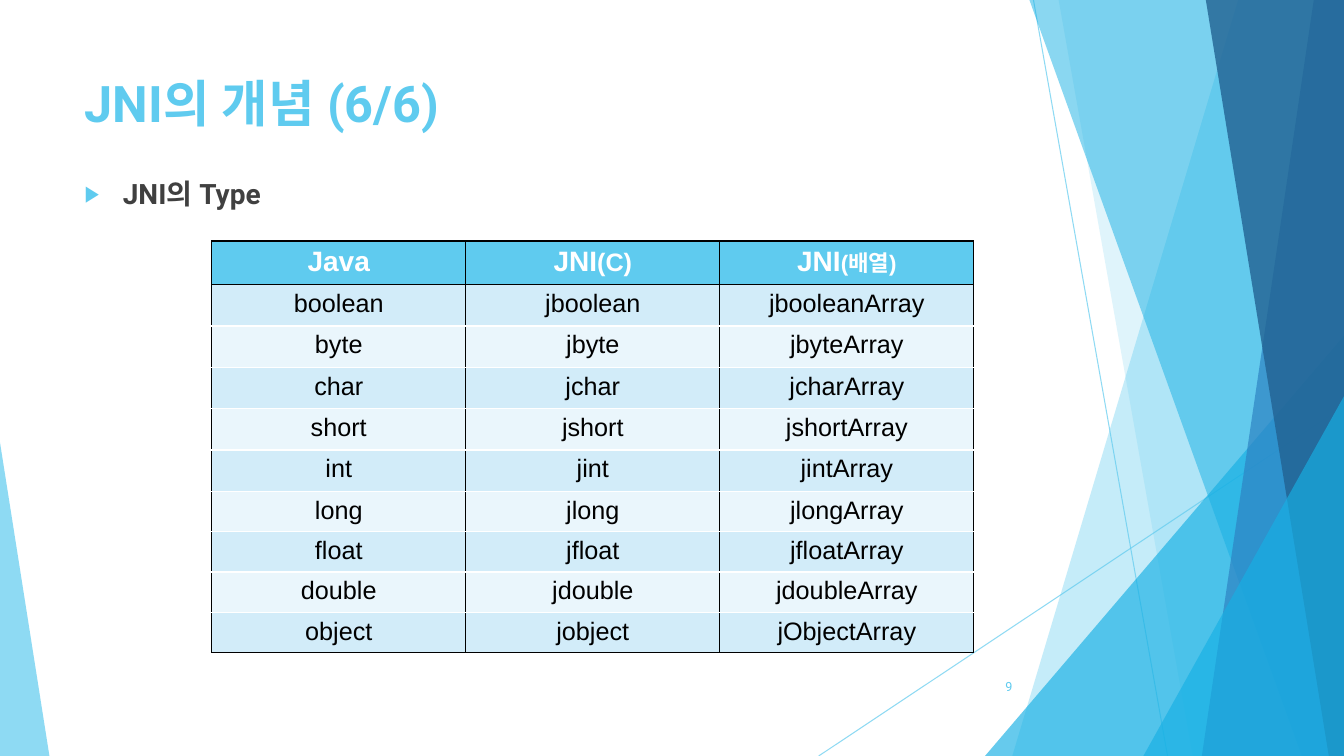
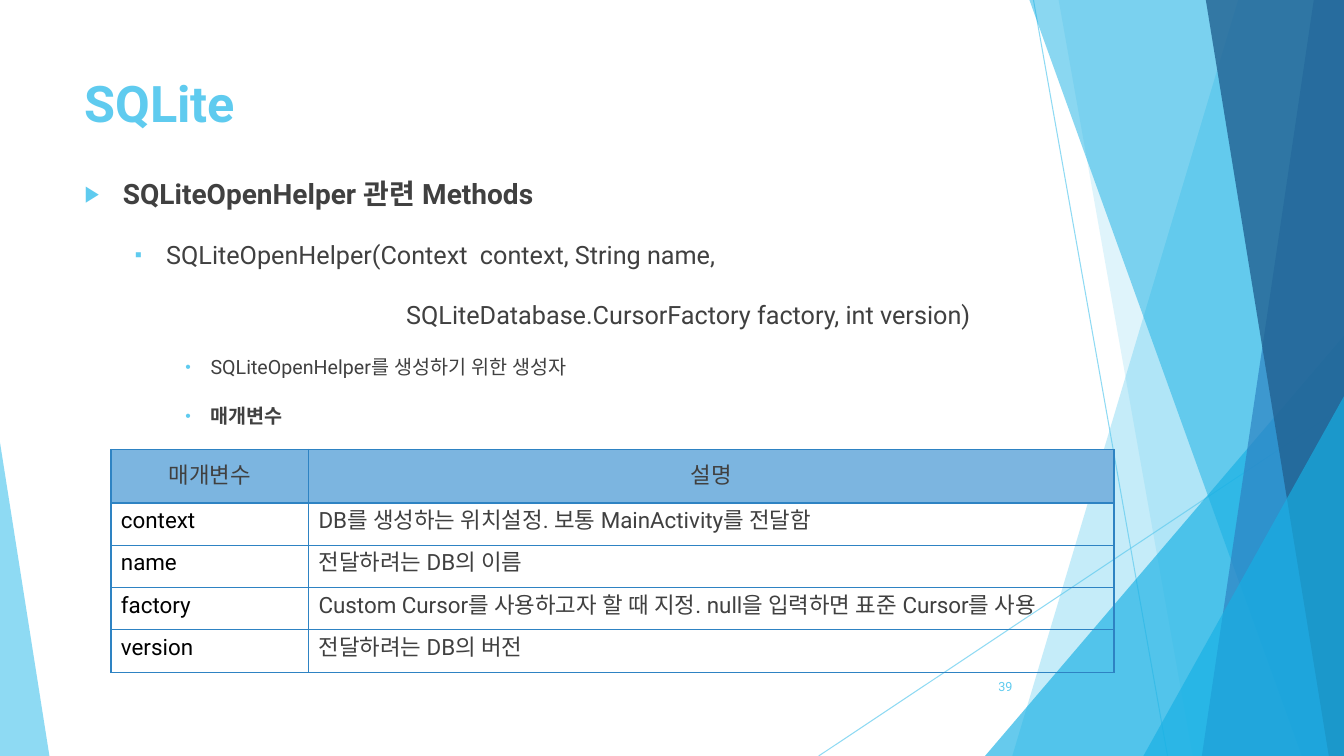
from lxml import etree
from pptx import Presentation
from pptx.dml.color import RGBColor
from pptx.enum import shapes, text
from pptx.oxml.ns import qn
from pptx.util import Inches, Pt

COLORS = {
    "sky": "5FCBEF", "cyan": "17B0E4", "blue": "2E83C3", "navy": "226292",
    "header": "7CB5E0", "band": "D2ECF9", "pale": "EAF6FC",
    "body": "404040", "black": "000000", "white": "FFFFFF",
}
FONT = "Roboto"
TABLE_FONT = "Arial"
WIDTH, HEIGHT = 13.33, 7.5
CENTER, RIGHT = text.PP_ALIGN.CENTER, text.PP_ALIGN.RIGHT
MIDDLE = text.MSO_ANCHOR.MIDDLE

# Background facets: top left, top right, bottom right, bottom left, colour, opacity
BACK_FACETS = [
    (12.28, WIDTH, WIDTH, 10.04, "sky", 36),
    (10.5, WIDTH, WIDTH, 11.83, "sky", 20),
]
FRONT_FACETS = [
    (10.21, WIDTH, WIDTH, 12.91, "cyan", 50),
    (13.03, WIDTH, WIDTH, 11.92, "blue", 70),
    (11.96, WIDTH, WIDTH, 13.18, "navy", 80),
]

# Bullet levels: character, text indent, hanging indent, size, bold
LEVELS = {
    "topic": ("▶", 0.38, -0.38, 20, True),
    "method": ("▪", 0.81, -0.31, 18, False),
    "method_rest": (None, 3.19, 0, 18, False),
    "detail": ("•", 1.25, -0.25, 14, False),
    "detail_bold": ("•", 1.25, -0.25, 14, True),
}

JAVA_TYPES = ["boolean", "byte", "char", "short", "int", "long", "float", "double"]
TYPE_ROWS = [(name, f"j{name}", f"j{name}Array") for name in JAVA_TYPES]
TYPE_ROWS.append(("object", "jobject", "jObjectArray"))
TYPE_HEADERS = [[("Java", 20)], [("JNI", 20), ("(C)", 18)], [("JNI", 20), ("(배열)", 16)]]

PARAMETER_ROWS = [
    ("매개변수", "설명"),
    ("context", "DB를 생성하는 위치설정. 보통 MainActivity를 전달함"),
    ("name", "전달하려는 DB의 이름"),
    ("factory", "Custom Cursor를 사용하고자 할 때 지정. null을 입력하면 표준 Cursor를 사용"),
    ("version", "전달하려는 DB의 버전"),
]


def rgb(color):
    return RGBColor.from_string(COLORS[color])


def add_xml(parent, tag, **attributes):
    return etree.SubElement(parent, qn(tag), attributes)


def set_opacity(shape, percent):
    for color in shape._element.spPr.iter(qn("a:srgbClr")):
        add_xml(color, "a:alpha", val=str(percent * 1000))


def style_paragraph(paragraph, size, color, bold=False, name=FONT):
    font = paragraph.font
    font.size, font.bold, font.name = Pt(size), bold, name
    font.color.rgb = rgb(color)
    latin = font._element.find(qn("a:latin"))
    latin.addnext(etree.Element(qn("a:ea"), typeface=name))


# Shared background
def paint(shape, color, opacity):
    shape.shadow.inherit = False
    shape.fill.solid()
    shape.fill.fore_color.rgb = rgb(color)
    shape.line.fill.background()
    set_opacity(shape, opacity)


def add_facet(slide, top_left, top_right, bottom_right, bottom_left, color, opacity):
    builder = slide.shapes.build_freeform(Inches(top_left), 0)
    corners = [(top_right, 0), (bottom_right, HEIGHT), (bottom_left, HEIGHT)]
    builder.add_line_segments([(Inches(x), Inches(y)) for x, y in corners])
    paint(builder.convert_to_shape(), color, opacity)


def add_triangle(slide, left, top, width, apex, color, opacity):
    triangle = slide.shapes.add_shape(
        shapes.MSO_SHAPE.ISOSCELES_TRIANGLE,
        Inches(left), Inches(top), Inches(width), Inches(HEIGHT - top))
    triangle.adjustments[0] = apex
    paint(triangle, color, opacity)


def add_ray(slide, x1, y1, x2, y2):
    ray = slide.shapes.add_connector(
        shapes.MSO_CONNECTOR.STRAIGHT, Inches(x1), Inches(y1), Inches(x2), Inches(y2))
    ray.line.color.rgb = rgb("sky")
    ray.line.width = Pt(0.75)
    set_opacity(ray, 70)
    add_xml(ray._element.spPr, "a:effectLst")


def add_background(slide):
    add_ray(slide, 10.25, 0, 11.58, HEIGHT)
    add_ray(slide, WIDTH, 4.03, 8.12, HEIGHT)
    for facet in BACK_FACETS:
        add_facet(slide, *facet)
    add_triangle(slide, 9.77, 3.33, 3.56, 1, "cyan", 66)
    for facet in FRONT_FACETS:
        add_facet(slide, *facet)
    add_triangle(slide, 11.34, 3.93, 1.99, 1, "cyan", 66)
    add_triangle(slide, 0, 4.39, 0.49, 0, "sky", 70)


# Text
def add_frame(slide, left, top, width, height):
    box = slide.shapes.add_textbox(Inches(left), Inches(top), Inches(width), Inches(height))
    box.text_frame.word_wrap = True
    return box.text_frame


def add_title(slide, title):
    heading = add_frame(slide, 0.74, 0.67, 9.4, 0.8).paragraphs[0]
    heading.text = title
    style_paragraph(heading, 36, "sky", bold=True)


def add_page_number(slide, number):
    frame = add_frame(slide, 9.39, 6.61, 0.75, 0.4)
    frame.vertical_anchor = MIDDLE
    page = frame.paragraphs[0]
    page.text = str(number)
    page.alignment = RIGHT
    style_paragraph(page, 9, "sky")


def add_bullet(paragraph, char, indent, hanging):
    properties = paragraph._p.get_or_add_pPr()
    properties.set("marL", str(Inches(indent)))
    properties.set("indent", str(Inches(hanging)))
    if char is None:
        add_xml(properties, "a:buNone")
        return
    add_xml(add_xml(properties, "a:buClr"), "a:srgbClr", val=COLORS["sky"])
    add_xml(properties, "a:buSzPct", val="80000")
    add_xml(properties, "a:buFont", typeface="Arial")
    add_xml(properties, "a:buChar", char=char)


def add_outline(slide, height, items):
    frame = add_frame(slide, 0.74, 1.54, 10.31, height)
    for index, (level, words) in enumerate(items):
        item = frame.add_paragraph() if index else frame.paragraphs[0]
        char, indent, hanging, size, bold = LEVELS[level]
        item.text = words
        add_bullet(item, char, indent, hanging)
        item.line_spacing = 1.5
        if index:
            item.space_before = Pt(10)
        style_paragraph(item, size, "body", bold)


# Tables
def add_grid(slide, left, top, widths, heights):
    grid = slide.shapes.add_table(
        len(heights), len(widths), Inches(left), Inches(top),
        Inches(sum(widths)), Inches(sum(heights))).table
    grid.horz_banding = False
    for column, width in zip(grid.columns, widths):
        column.width = Inches(width)
    for row, height in zip(grid.rows, heights):
        row.height = Inches(height)
    return grid


def style_cell(cell, fill, sides, top, bottom):
    properties = cell._tc.get_or_add_tcPr()
    for side, color in zip("LRTB", (sides, sides, top, bottom)):
        border = add_xml(properties, f"a:ln{side}", w=str(Pt(1)))
        add_xml(add_xml(border, "a:solidFill"), "a:srgbClr", val=COLORS[color])
    if fill:
        cell.fill.solid()
        cell.fill.fore_color.rgb = rgb(fill)
    else:
        cell.fill.background()


def add_type_table(slide):
    heights = [0.41] * 6 + [0.38] * 4
    grid = add_grid(slide, 2.1, 2.39, [2.52] * 3, heights)
    for column, parts in enumerate(TYPE_HEADERS):
        cell = grid.cell(0, column)
        style_cell(cell, "sky", "black", "black", "black")
        header = cell.text_frame.paragraphs[0]
        header.alignment = CENTER
        style_paragraph(header, 20, "white", bold=True, name=TABLE_FONT)
        for words, size in parts:
            run = header.add_run()
            run.text = words
            run.font.size = Pt(size)
    for row, names in enumerate(TYPE_ROWS, 1):
        fill = "band" if row % 2 else "pale"
        top = "black" if row == 1 else "white"
        bottom = "black" if row == len(TYPE_ROWS) else "white"
        for column, name in enumerate(names):
            cell = grid.cell(row, column)
            style_cell(cell, fill, "black", top, bottom)
            entry = cell.text_frame.paragraphs[0]
            entry.text = name
            entry.alignment = CENTER
            style_paragraph(entry, 18, "black", name=TABLE_FONT)


def add_parameter_table(slide):
    grid = add_grid(slide, 1.1, 4.46, [1.96, 7.99], [0.53] + [0.42] * 4)
    for row, entries in enumerate(PARAMETER_ROWS):
        is_header = row == 0
        for column, words in enumerate(entries):
            cell = grid.cell(row, column)
            style_cell(cell, "header" if is_header else None, "blue", "blue", "blue")
            entry = cell.text_frame.paragraphs[0]
            entry.text = words
            if is_header:
                cell.vertical_anchor = MIDDLE
                entry.alignment = CENTER
            is_name = column == 0 and not is_header
            style_paragraph(entry, 16, "black" if is_name else "body")


# Slides
def add_slide(deck, title):
    slide = deck.slides.add_slide(deck.slide_layouts[6])
    add_background(slide)
    add_title(slide, title)
    return slide


def main():
    deck = Presentation()
    deck.slide_width, deck.slide_height = Inches(WIDTH), Inches(HEIGHT)

    types = add_slide(deck, "JNI의 개념 (6/6)")
    add_outline(types, 0.8, [("topic", "JNI의 Type")])
    add_type_table(types)
    add_page_number(types, 9)

    helper = add_slide(deck, "SQLite")
    add_outline(helper, 2.9, [
        ("topic", "SQLiteOpenHelper 관련 Methods"),
        ("method", "SQLiteOpenHelper(Context  context, String name,"),
        ("method_rest", "SQLiteDatabase.CursorFactory factory, int version)"),
        ("detail", "SQLiteOpenHelper를 생성하기 위한 생성자"),
        ("detail_bold", "매개변수"),
    ])
    add_parameter_table(helper)
    add_page_number(helper, 39)

    deck.save("out.pptx")


if __name__ == "__main__":
    main()
